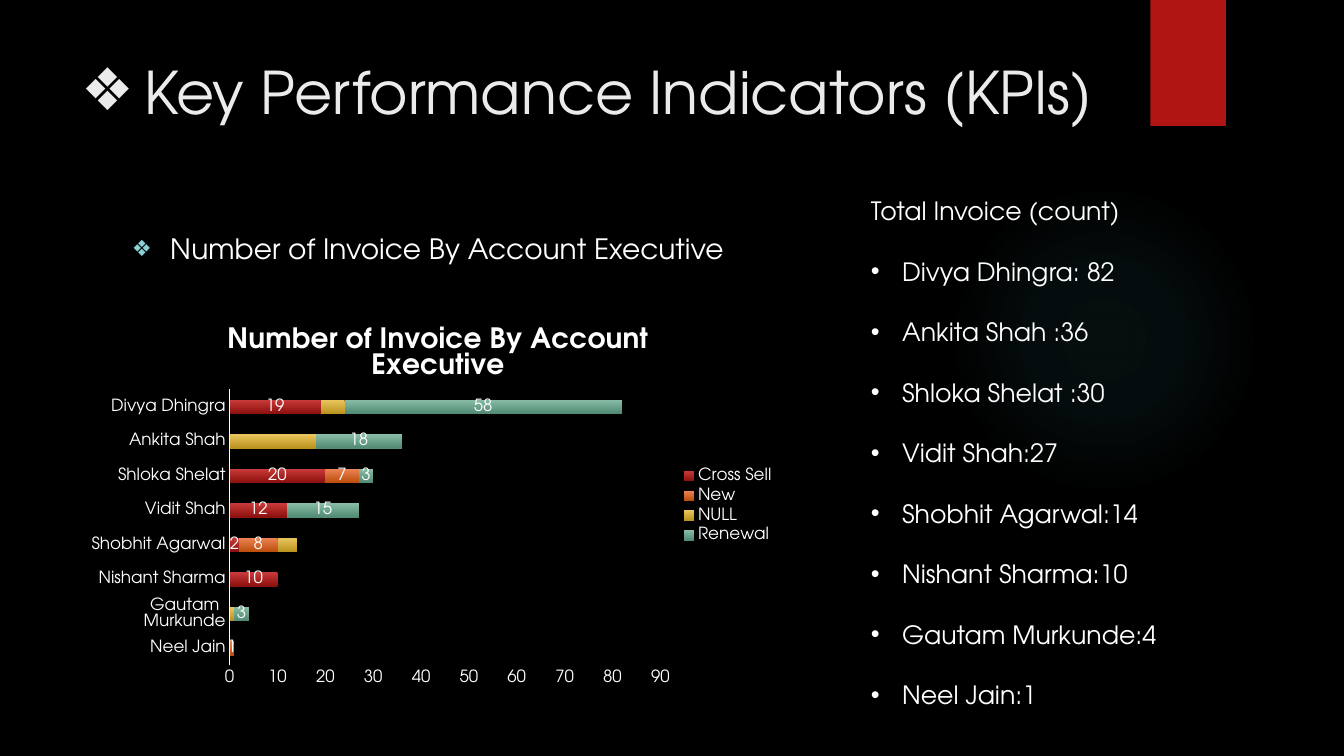
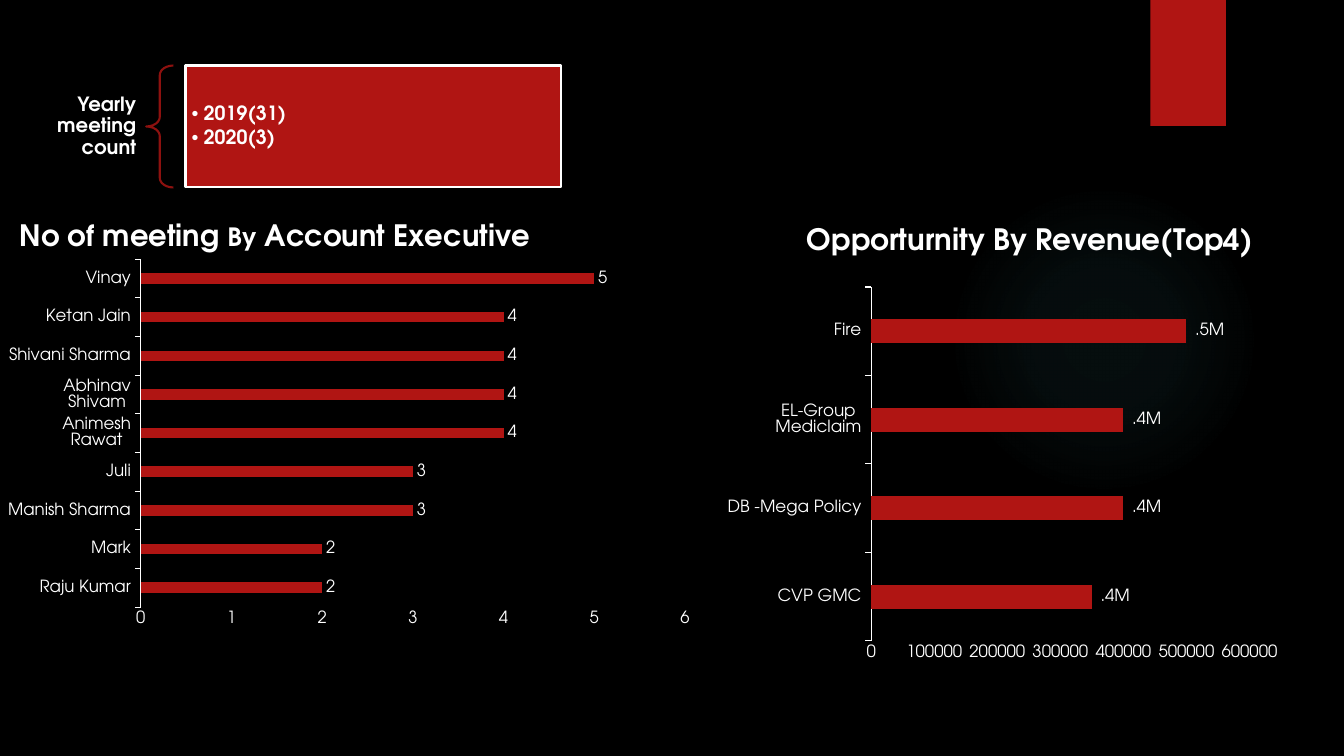
from dataclasses import dataclass
from typing import Optional

from lxml.etree import SubElement
from pptx import Presentation
from pptx.chart.chart import Chart
from pptx.chart.data import CategoryChartData
from pptx.dml.color import RGBColor
from pptx.enum.chart import XL_CHART_TYPE, XL_LABEL_POSITION, XL_LEGEND_POSITION, XL_TICK_MARK
from pptx.enum.shapes import MSO_SHAPE
from pptx.enum.text import MSO_ANCHOR, PP_ALIGN
from pptx.oxml import parse_xml
from pptx.oxml.ns import nsdecls, qn
from pptx.util import Inches, Pt

FONT = "TeX Gyre Adventor"
BLACK, WHITE, TITLE_GREY = "000000", "FFFFFF", "EBEBEB"
RED, DARK_RED, TEAL, PALE_TEAL = "B01513", "8D110F", "50B9C1", "8AD0D6"
GLOW_STOPS = ((0, 7), (36, 6), (69, 0))


@dataclass(frozen=True)
class Box:
    left: float
    top: float
    width: float
    height: float

    def lengths(self) -> tuple:
        return tuple(Inches(v) for v in (self.left, self.top, self.width, self.height))


@dataclass(frozen=True)
class TextStyle:
    size: float
    color: str = WHITE
    bold: bool = False
    align: PP_ALIGN = PP_ALIGN.LEFT
    line_spacing: Optional[float] = None
    space_before: float = 0
    space_after: float = 0


@dataclass(frozen=True)
class Bullet:
    char: str
    indent: float
    color: Optional[str] = None
    percent: int = 100


@dataclass(frozen=True)
class Series:
    name: str
    values: tuple
    colors: tuple
    label_position: Optional[XL_LABEL_POSITION] = None
    label_format: str = "General"


@dataclass(frozen=True)
class BarChart:
    box: Box
    title: tuple  # (text, size) runs
    plot_area: tuple  # x, y, width, height as shares of the chart
    categories: tuple
    series: tuple
    axis_max: float
    axis_step: float
    stacked: bool = False
    title_corner: Optional[tuple] = None


INVOICE_CHART = BarChart(
    Box(0.9, 3.03, 6.89, 3.97),
    (("Number of Invoice By Account Executive", 20),),
    (0.2, 0.21, 0.62, 0.69),
    ("Neel Jain", "Gautam Murkunde", "Nishant Sharma", "Shobhit Agarwal",
     "Vidit Shah", "Shloka Shelat", "Ankita Shah", "Divya Dhingra"),
    (
        Series("Cross Sell", (None, None, 10, 2, 12, 20, None, 19),
               ("C93B3A", "8D110F"), XL_LABEL_POSITION.CENTER),
        Series("New", (1, None, None, 8, None, 7, None, None),
               ("EE8455", "BC4F0E"), XL_LABEL_POSITION.CENTER),
        Series("NULL", (None, 1, None, 4, None, None, 18, 5), ("EBC65F", "BB941F")),
        Series("Renewal", (None, 3, None, None, 15, 3, 18, 58),
               ("89BDA7", "538C74"), XL_LABEL_POSITION.CENTER),
    ),
    axis_max=90, axis_step=10, stacked=True,
)
REVENUE_CHART = BarChart(
    Box(7.19, 2.03, 6.05, 4.81),
    (("Opporturnity By Revenue(Top4)", 21),),
    (0.24, 0.17, 0.62, 0.73),
    ("CVP GMC", "DB -Mega Policy", "EL-Group Mediclaim", "Fire"),
    (Series("Series 1", (350000, 400000, 400000, 500000), (RED,),
            XL_LABEL_POSITION.OUTSIDE_END, '\\ #.#,,"M"'),),
    axis_max=600000, axis_step=100000,
)
MEETING_CHART = BarChart(
    Box(0.08, 2.03, 6.92, 4.93),
    (("No of meeting ", 21), ("By", 18), (" Account Executive", 21)),
    (0.18, 0.11, 0.79, 0.7),
    ("Raju Kumar", "Mark", "Manish Sharma", "Juli", "Animesh Rawat",
     "Abhinav Shivam", "Shivani Sharma", "Ketan Jain", "Vinay"),
    (Series("Series 1", (2, 2, 3, 3, 4, 4, 4, 4, 5), (RED,), XL_LABEL_POSITION.OUTSIDE_END),),
    axis_max=6, axis_step=1, title_corner=(0.0, 0.03),
)
INVOICE_TOTALS = (
    "Divya Dhingra: 82", "Ankita Shah :36", "Shloka Shelat :30", "Vidit Shah:27",
    "Shobhit Agarwal:14", "Nishant Sharma:10", "Gautam Murkunde:4", "Neel Jain:1",
)


def rgb(color: str) -> RGBColor:
    return RGBColor.from_string(color)


def style_font(font, size: float, color: str = WHITE, bold: bool = False) -> None:
    font.name = FONT
    font.size = Pt(size)
    font.bold = bold
    font.color.rgb = rgb(color)


def add_bullet(paragraph, bullet: Bullet) -> None:
    properties = paragraph._p.get_or_add_pPr()
    indent = Inches(bullet.indent)
    properties.set("marL", str(indent))
    properties.set("indent", str(-indent))
    if bullet.color:
        SubElement(SubElement(properties, qn("a:buClr")), qn("a:srgbClr"), val=bullet.color)
    SubElement(properties, qn("a:buSzPct"), val=str(bullet.percent * 1000))
    SubElement(properties, qn("a:buFont"), typeface="Arial")
    SubElement(properties, qn("a:buChar"), char=bullet.char)


def write_lines(frame, lines: tuple, style: TextStyle, bullet: Optional[Bullet] = None) -> None:
    """Add one paragraph per line, after any text the frame already has."""
    frame.word_wrap = True
    for line in lines:
        first = frame.paragraphs[0]
        paragraph = frame.add_paragraph() if first.runs else first
        paragraph.alignment = style.align
        if style.line_spacing:
            paragraph.line_spacing = style.line_spacing
        paragraph.space_before = Pt(style.space_before)
        paragraph.space_after = Pt(style.space_after)
        if bullet:
            add_bullet(paragraph, bullet)
        run = paragraph.add_run()
        run.text = line
        style_font(run.font, style.size, style.color, style.bold)


def add_text(slide, box: Box, lines: tuple, style: TextStyle, bullet: Optional[Bullet] = None):
    frame = slide.shapes.add_textbox(*box.lengths()).text_frame
    write_lines(frame, lines, style, bullet)
    return frame


def add_preset(slide, preset: MSO_SHAPE, box: Box, fill: Optional[str] = None,
               line: Optional[str] = None):
    shape = slide.shapes.add_shape(preset, *box.lengths())
    shape.shadow.inherit = False
    if fill:
        shape.fill.solid()
        shape.fill.fore_color.rgb = rgb(fill)
    else:
        shape.fill.background()
    if line:
        shape.line.color.rgb = rgb(line)
        shape.line.width = Pt(1.5)
    else:
        shape.line.fill.background()
    return shape


def add_backdrop_slide(deck):
    """Add a black slide with the soft teal glow and the red ribbon."""
    slide = deck.slides.add_slide(deck.slide_layouts[6])
    slide.background.fill.solid()
    slide.background.fill.fore_color.rgb = rgb(BLACK)
    glow = add_preset(slide, MSO_SHAPE.OVAL, Box(9.41, 1.83, 3.08, 3.08))
    stops = "".join(
        f'<a:gs pos="{position * 1000}"><a:srgbClr val="{TEAL}">'
        f'<a:alpha val="{opacity * 1000}"/></a:srgbClr></a:gs>'
        for position, opacity in GLOW_STOPS
    )
    no_fill = glow.element.spPr.find(qn("a:noFill"))
    no_fill.getparent().replace(no_fill, parse_xml(
        f'<a:gradFill {nsdecls("a")}><a:gsLst>{stops}</a:gsLst><a:path path="circle">'
        '<a:fillToRect l="50000" t="50000" r="50000" b="50000"/></a:path></a:gradFill>'
    ))
    add_preset(slide, MSO_SHAPE.RECTANGLE, Box(11.41, 0, 0.75, 1.25), RED)
    return slide


def set_layout(parent, index: int, target: str, **shares: float) -> None:
    """Place a chart part by shares of the chart size."""
    for old in parent.findall(qn("c:layout")):
        parent.remove(old)
    inner = f'<c:layoutTarget val="{target}"/>' if target else ""
    modes = "".join(f'<c:{axis}Mode val="edge"/>' for axis in "xy")
    values = "".join(f'<c:{key} val="{value}"/>' for key, value in shares.items())
    parent.insert(index, parse_xml(
        f'<c:layout {nsdecls("c")}><c:manualLayout>{inner}{modes}{values}'
        '</c:manualLayout></c:layout>'
    ))


def style_axes(chart: Chart, chart_info: BarChart) -> None:
    names, scale = chart.category_axis, chart.value_axis
    for axis in (names, scale):
        axis.has_major_gridlines = False
        axis.major_tick_mark = axis.minor_tick_mark = XL_TICK_MARK.NONE
        style_font(axis.tick_labels.font, 12)
    names.format.line.color.rgb = rgb(WHITE)
    names.format.line.width = Pt(1 if chart_info.stacked else 0.75)
    if not chart_info.stacked:
        names.major_tick_mark = XL_TICK_MARK.OUTSIDE
    scale.format.line.fill.background()
    scale.minimum_scale = 0
    scale.maximum_scale = chart_info.axis_max
    scale.major_unit = chart_info.axis_step


def style_series(bars, series: Series) -> None:
    fill = bars.format.fill
    if len(series.colors) == 1:
        fill.solid()
        fill.fore_color.rgb = rgb(series.colors[0])
    else:
        fill.gradient()
        fill.gradient_angle = 270
        for stop, color in zip(fill.gradient_stops, series.colors):
            stop.color.rgb = rgb(color)
    if series.label_position is not None:
        labels = bars.data_labels
        style_font(labels.font, 12)
        labels.number_format = series.label_format
        labels.number_format_is_linked = False
        labels.position = series.label_position
        labels.show_value = True


def add_bar_chart(slide, info: BarChart) -> None:
    data = CategoryChartData()
    data.categories = info.categories
    for series in info.series:
        data.add_series(series.name, series.values)
    kind = XL_CHART_TYPE.BAR_STACKED if info.stacked else XL_CHART_TYPE.BAR_CLUSTERED
    chart = slide.shapes.add_chart(kind, *info.box.lengths(), data).chart
    style_font(chart.font, 10)

    paragraph = chart.chart_title.text_frame.paragraphs[0]
    for text, size in info.title:
        run = paragraph.add_run()
        run.text = text
        style_font(run.font, size, bold=True)
    chart.chart_title.include_in_layout = False
    if info.title_corner:
        set_layout(chart.chart_title.element, 1, "", **dict(zip("xy", info.title_corner)))
    set_layout(chart.element.find(".//" + qn("c:plotArea")), 0, "inner",
               **dict(zip("xywh", info.plot_area)))

    chart.has_legend = info.stacked
    if info.stacked:
        chart.legend.position = XL_LEGEND_POSITION.RIGHT
        chart.legend.include_in_layout = False
        style_font(chart.legend.font, 12)
    style_axes(chart, info)
    plot = chart.plots[0]
    plot.vary_by_categories = False
    plot.gap_width, plot.overlap = (150, 100) if info.stacked else (269, -20)
    for bars, series in zip(plot.series, info.series):
        style_series(bars, series)


def build_invoice_slide(deck) -> None:
    slide = add_backdrop_slide(deck)
    add_text(slide, Box(0.71, 0.5, 10.29, 1.53), ("Key Performance Indicators (KPIs)",),
             TextStyle(42, TITLE_GREY), Bullet("❖", 0.62))
    add_text(slide, Box(1.21, 2.25, 7.2, 0.6), ("Number of Invoice By Account Executive",),
             TextStyle(20), Bullet("❖", 0.38, PALE_TEAL, 80))
    totals = add_text(slide, Box(8.54, 1.89, 3.03, 5.5), ("Total Invoice (count)",),
                      TextStyle(18, align=PP_ALIGN.JUSTIFY))
    write_lines(totals, INVOICE_TOTALS,
                TextStyle(18, align=PP_ALIGN.JUSTIFY, space_before=21.6), Bullet("•", 0.31))
    add_bar_chart(slide, INVOICE_CHART)


def build_meeting_slide(deck) -> None:
    slide = add_backdrop_slide(deck)
    top, height = 0.65, 1.21
    caption = add_text(slide, Box(0.08, top, 1.37, height), ("Yearly meeting count",),
                       TextStyle(14, bold=True, align=PP_ALIGN.RIGHT, line_spacing=0.9))
    caption.vertical_anchor = MSO_ANCHOR.MIDDLE
    brace = add_preset(slide, MSO_SHAPE.LEFT_BRACE, Box(1.45, top, 0.27, height), line=DARK_RED)
    brace.adjustments[0], brace.adjustments[1] = 0.35, 0.5
    years = add_preset(slide, MSO_SHAPE.RECTANGLE, Box(1.84, top, 3.72, height),
                       RED, WHITE).text_frame
    years.margin_left = years.margin_right = Inches(0.06)
    years.vertical_anchor = MSO_ANCHOR.MIDDLE
    write_lines(years, ("2019(31)", "2020(3)"),
                TextStyle(14, bold=True, line_spacing=0.9, space_after=2), Bullet("•", 0.12))
    for chart_info in (REVENUE_CHART, MEETING_CHART):
        add_bar_chart(slide, chart_info)


def main() -> None:
    deck = Presentation()
    deck.slide_width, deck.slide_height = Inches(13.33), Inches(7.5)
    build_invoice_slide(deck)
    build_meeting_slide(deck)
    deck.save("out.pptx")


if __name__ == "__main__":
    main()
